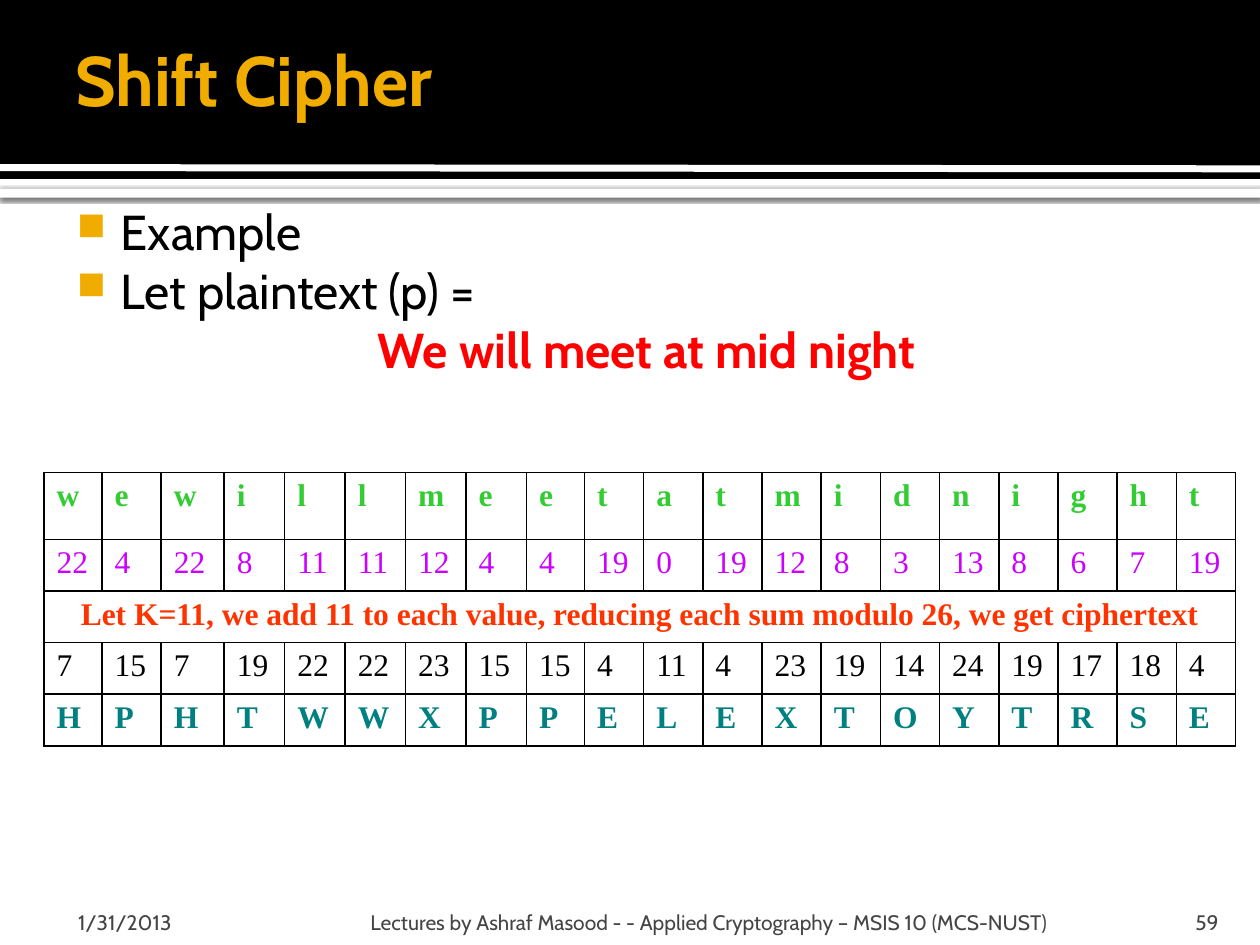
import dataclasses

import lxml.etree
import pptx
import pptx.dml.color
import pptx.enum.shapes
import pptx.enum.text
import pptx.oxml
import pptx.oxml.ns
import pptx.util

Inches = pptx.util.Inches
Pt = pptx.util.Pt
qn = pptx.oxml.ns.qn
ALIGN = pptx.enum.text.PP_ALIGN
ANCHOR = pptx.enum.text.MSO_ANCHOR


@dataclasses.dataclass(frozen=True)
class Theme:
    heading_font: str = "Cabin"
    table_font: str = "Times New Roman"
    title_size: int = 40
    body_size: int = 28
    table_size: int = 18
    footer_size: int = 12
    black: str = "000000"
    white: str = "FFFFFF"
    gold: str = "F0AD00"
    red: str = "FF0000"
    grey: str = "454545"
    plain: str = "33CC33"
    number: str = "CC00FF"
    rule: str = "FF3300"
    cipher: str = "008080"


def rgb(value):
    return pptx.dml.color.RGBColor.from_string(value)


class SlideBuilder:
    def __init__(self, slide, theme):
        self.slide = slide
        self.theme = theme

    def run(self, p, text, size, color, bold=False, font=None):
        r = p.add_run()
        r.text = text
        r.font.name = font or self.theme.heading_font
        r.font.size = Pt(size)
        r.font.bold = bold
        r.font.color.rgb = rgb(color)

    def bar(self, top, height, color, shadow=False):
        sp = self.slide.shapes.add_shape(
            pptx.enum.shapes.MSO_SHAPE.RECTANGLE,
            Inches(0), Inches(top), Inches(10), Inches(height))
        sp.shadow.inherit = False
        sp.fill.solid()
        sp.fill.fore_color.rgb = rgb(color)
        sp.line.fill.background()
        if shadow:
            effects = sp._element.spPr.find(qn("a:effectLst"))
            outer = lxml.etree.SubElement(
                effects, qn("a:outerShdw"), blurRad=str(Pt(2.5)),
                dist=str(Pt(0.8)), dir="5400000", rotWithShape="0")
            clr = lxml.etree.SubElement(outer, qn("a:srgbClr"), val=self.theme.black)
            lxml.etree.SubElement(clr, qn("a:alpha"), val="60000")

    def line(self, start, end, color, width):
        cx = self.slide.shapes.add_connector(
            pptx.enum.shapes.MSO_CONNECTOR.STRAIGHT,
            *(Inches(v) for v in start + end))
        cx.line.color.rgb = rgb(color)
        cx.line.width = Pt(width)
        lxml.etree.SubElement(cx._element.spPr, qn("a:effectLst"))

    def text_box(self, box, insets, anchor=ANCHOR.TOP):
        tf = self.slide.shapes.add_textbox(*(Inches(v) for v in box)).text_frame
        tf.word_wrap = True
        tf.vertical_anchor = anchor
        tf.margin_left, tf.margin_top, tf.margin_right, tf.margin_bottom = (
            Inches(v) for v in insets)
        return tf

    def label(self, text, box, insets, anchor, size, color, bold=False, align=ALIGN.LEFT):
        p = self.text_box(box, insets, anchor).paragraphs[0]
        p.alignment = align
        self.run(p, text, size, color, bold)

    def body(self, box, insets, bullets, message):
        t = self.theme
        tf = self.text_box(box, insets)
        for i, text in enumerate(bullets + [message]):
            p = tf.paragraphs[0] if i == 0 else tf.add_paragraph()
            pPr = p._p.get_or_add_pPr()
            pPr.set("marL", str(Inches(0.48)))
            pPr.set("indent", str(Inches(-0.35)))
            if text is message:
                p.alignment = ALIGN.CENTER
                lxml.etree.SubElement(pPr, qn("a:buNone"))
                self.run(p, text, t.body_size, t.red, True)
            else:
                clr = lxml.etree.SubElement(pPr, qn("a:buClr"))
                lxml.etree.SubElement(clr, qn("a:srgbClr"), val=t.gold)
                lxml.etree.SubElement(pPr, qn("a:buSzPct"), val="80000")
                lxml.etree.SubElement(pPr, qn("a:buChar"), char="■")
                self.run(p, text, t.body_size, t.black)

    def border(self, cell):
        tcPr = cell._tc.get_or_add_tcPr()
        for side in ("a:lnL", "a:lnR", "a:lnT", "a:lnB"):
            ln = lxml.etree.SubElement(tcPr, qn(side), w=str(Pt(1)))
            fill = lxml.etree.SubElement(ln, qn("a:solidFill"))
            lxml.etree.SubElement(fill, qn("a:srgbClr"), val=self.theme.black)

    def table(self, left, top, widths, heights, rows):
        table = self.slide.shapes.add_table(
            len(heights), len(widths), Inches(left), Inches(top),
            Inches(sum(widths)), Inches(sum(heights))).table
        table.first_row = table.horz_banding = False
        for column, width in zip(table.columns, widths):
            column.width = Inches(width)
        for row, height in zip(table.rows, heights):
            row.height = Inches(height)
        for i, (values, color, bold) in enumerate(rows):
            for cell in table.rows[i].cells:
                self.border(cell)
                cell.fill.background()
            if len(values) == 1:
                table.cell(i, 0).merge(table.cell(i, len(widths) - 1))
                table.cell(i, 0).text_frame.paragraphs[0].alignment = ALIGN.CENTER
            for j, value in enumerate(values):
                p = table.cell(i, j).text_frame.paragraphs[0]
                self.run(p, str(value), self.theme.table_size, color, bold,
                         self.theme.table_font)


def main():
    prs = pptx.Presentation()
    prs.slide_width, prs.slide_height = Inches(10), Inches(7.5)
    t = Theme()
    s = SlideBuilder(prs.slides.add_slide(prs.slide_layouts[6]), t)

    s.bar(1.5, 0.07, t.white, shadow=True)
    s.bar(0, 1.42, t.black)
    s.line((0, 1.33), (10, 1.34), t.white, 4)

    s.body((0.42, 1.5, 9.33, 5.58), (0.06, 0.1, 0.1, 0.05),
           ["Example", "Let plaintext (p) ="], "We will meet at mid night")

    footers = [
        ("1/31/2013", 0.5, 2.33, 0.12, 0.05, ALIGN.LEFT),
        ("59", 8.97, 0.8, 0.1, 0.1, ALIGN.RIGHT),
        ("Lectures by Ashraf Masood - - Applied Cryptography – MSIS 10 (MCS-NUST)",
         2.89, 6.02, 0.05, 0.05, ALIGN.LEFT),
    ]
    for text, left, width, inset_left, inset_right, align in footers:
        s.label(text, (left, 7.12, width, 0.3), (inset_left, 0.05, inset_right, 0),
                ANCHOR.BOTTOM, t.footer_size, t.grey, align=align)

    s.label("Shift Cipher", (0.5, 0.08, 8.25, 1.08), (0.1, 0.05, 0.05, 0.05),
            ANCHOR.MIDDLE, t.title_size, t.gold, bold=True)

    key = 11
    letters = "wewillmeetatmidnight"
    numbers = [ord(c) - ord("a") for c in letters]
    shifted = [(n + key) % 26 for n in numbers]
    ciphertext = [chr(n + ord("A")) for n in shifted]
    rule = (f"Let K={key}, we add {key} to each value, "
            "reducing each sum modulo 26, we get ciphertext")
    widths = [0.46, 0.47, 0.5] + [0.48] * 5 + [0.46] + [0.47] * 11
    s.table(0.35, 3.75, widths, [0.53] + [0.41] * 4, [
        (letters, t.plain, True),
        (numbers, t.number, False),
        ([rule], t.rule, True),
        (shifted, t.black, False),
        (ciphertext, t.cipher, True),
    ])

    prs.save("out.pptx")


if __name__ == "__main__":
    main()
